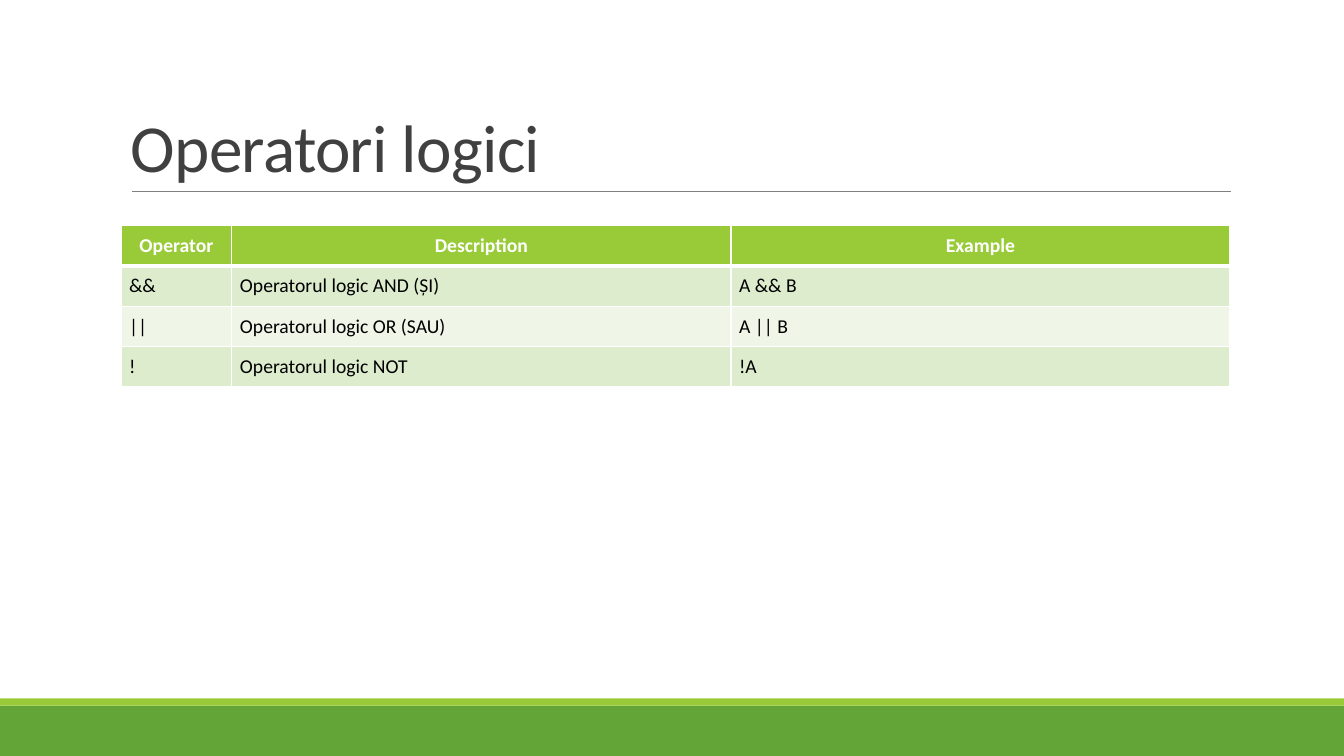
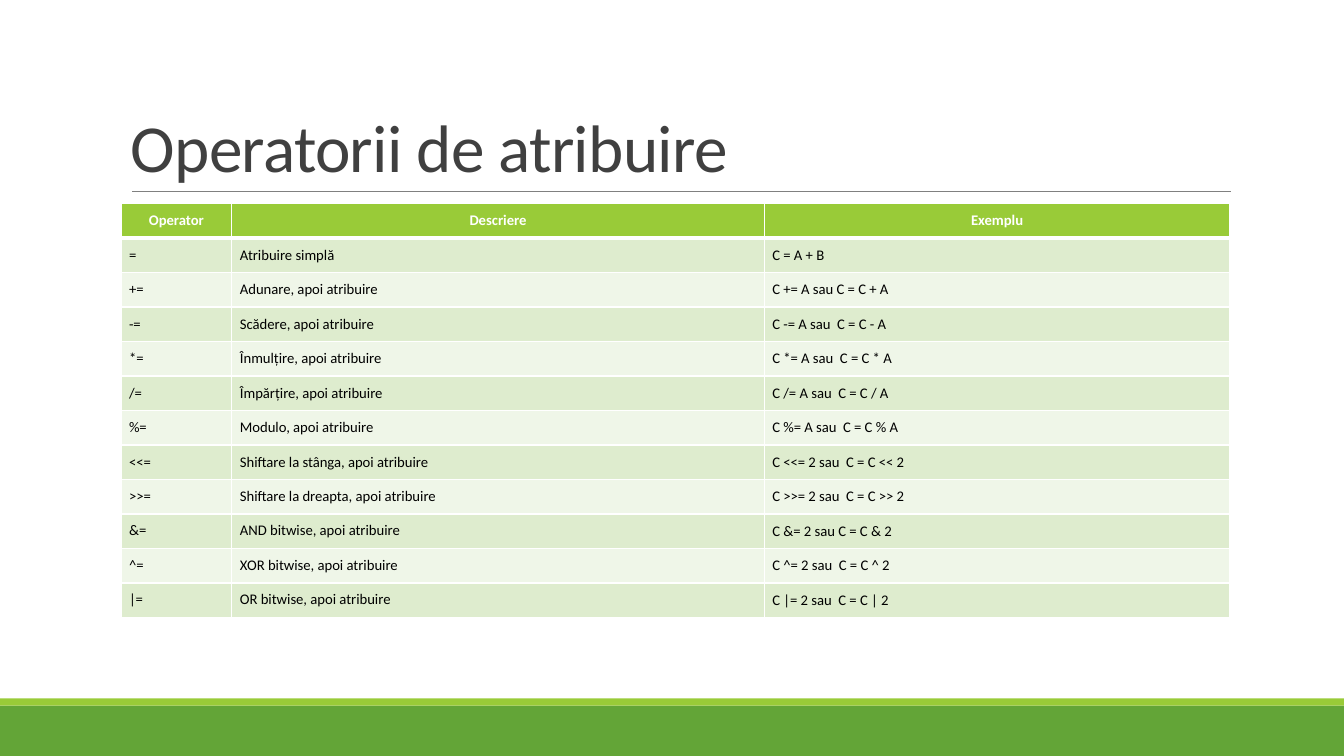
"""Build two slides with tables of logical and assignment operators."""
from dataclasses import dataclass

from lxml.etree import SubElement
from pptx import Presentation
from pptx.dml.color import RGBColor
from pptx.enum.shapes import MSO_CONNECTOR as Connector, MSO_SHAPE as Shape
from pptx.enum.text import MSO_ANCHOR as Anchor, PP_ALIGN as Align
from pptx.oxml.ns import qn
from pptx.slide import Slide
from pptx.table import _Cell as Cell
from pptx.text.text import _Paragraph as Paragraph
from pptx.util import Emu, Pt

EMU_PER_PX = 9144
PAGE_WIDTH, PAGE_HEIGHT = 1333, 750
TABLE_LEFT, TABLE_WIDTH = 120, 1100
RULE_LEFT, RULE_RIGHT, RULE_TOP = 131, 1221, 190
CELL_INSET = 8
FONT = "Calibri"
COLORS = {
    "footer": "63A537",
    "accent": "99CB38",
    "rule": "808080",
    "title": "404040",
    "white": "FFFFFF",
    "text": "000000",
    "odd_row": "DEECCE",
    "even_row": "EFF6E8",
}


@dataclass(frozen=True)
class Band:
    top: int
    height: int
    color: str


@dataclass(frozen=True)
class OperatorPage:
    title: str
    top: int
    height: int
    columns: tuple[int, ...]
    size: float
    example_anchor: Anchor
    rows: tuple[tuple[str, str, str], ...]


BANDS = (Band(700, 50, "footer"), Band(693, 7, "accent"))

PAGES = (
    OperatorPage("Operatori logici", 224, 160, (110, 495, 495), 14, Anchor.TOP, (
        ("Operator", "Description", "Example"),
        ("&&", "Operatorul logic AND (ȘI)", "A && B"),
        ("||", "Operatorul logic OR (SAU)", "A || B"),
        ("!", "Operatorul logic NOT", "!A"),
    )),
    OperatorPage("Operatorii de atribuire", 202, 411, (110, 528, 462), 10.5, Anchor.MIDDLE, (
        ("Operator", "Descriere", "Exemplu"),
        ("=", "Atribuire simplă", "C = A + B"),
        ("+=", "Adunare, apoi atribuire", "C += A sau C = C + A"),
        ("-=", "Scădere, apoi atribuire", "C -= A sau  C = C - A"),
        ("*=", "Înmulțire, apoi atribuire", "C *= A sau  C = C * A"),
        ("/=", "Împărțire, apoi atribuire", "C /= A sau  C = C / A"),
        ("%=", "Modulo, apoi atribuire", "C %= A sau  C = C % A"),
        ("<<=", "Shiftare la stânga, apoi atribuire", "C <<= 2 sau  C = C << 2"),
        (">>=", "Shiftare la dreapta, apoi atribuire", "C >>= 2 sau  C = C >> 2"),
        ("&=", "AND bitwise, apoi atribuire", "C &= 2 sau C = C & 2"),
        ("^=", "XOR bitwise, apoi atribuire", "C ^= 2 sau  C = C ^ 2"),
        ("|=", "OR bitwise, apoi atribuire", "C |= 2 sau  C = C | 2"),
    )),
)


def px(length: float) -> Emu:
    return Emu(round(length * EMU_PER_PX))


def color(name: str) -> RGBColor:
    return RGBColor.from_string(COLORS[name])


def set_font(para: Paragraph, size: float, color_name: str, bold: bool = False) -> None:
    para.font.name = FONT
    para.font.size = Pt(size)
    para.font.bold = bold
    para.font.color.rgb = color(color_name)


def draw_frame(page: Slide) -> None:
    for band in BANDS:
        box = page.shapes.add_shape(
            Shape.RECTANGLE, 0, px(band.top), px(PAGE_WIDTH), px(band.height))
        box.shadow.inherit = False
        box.fill.solid()
        box.fill.fore_color.rgb = color(band.color)
        box.line.fill.background()
    rule = page.shapes.add_connector(
        Connector.STRAIGHT, px(RULE_LEFT), px(RULE_TOP), px(RULE_RIGHT), px(RULE_TOP))
    rule.line.color.rgb = color("rule")
    rule.line.width = Pt(0.5)
    SubElement(rule._element.spPr, qn("a:effectLst"))


def draw_title(page: Slide, title: str) -> None:
    box = page.shapes.add_textbox(px(TABLE_LEFT), px(31), px(TABLE_WIDTH), px(159))
    frame = box.text_frame
    frame.word_wrap = True
    frame.vertical_anchor = Anchor.BOTTOM
    para = frame.paragraphs[0]
    para.text = title
    para.line_spacing = 0.85
    set_font(para, 48, "title")
    para._p.pPr.find(qn("a:defRPr")).set("spc", "-50")


def set_borders(cell: Cell, row: int) -> None:
    widths = {"L": 1, "R": 1, "T": 3 if row == 1 else 1, "B": 3 if row == 0 else 1}
    properties = cell._tc.get_or_add_tcPr()
    for side, width in widths.items():
        line = SubElement(properties, qn(f"a:ln{side}"), w=str(Pt(width)))
        fill = SubElement(line, qn("a:solidFill"))
        SubElement(fill, qn("a:srgbClr"), val=COLORS["white"])


def fill_cell(cell: Cell, text: str, row: int, size: float) -> None:
    header = row == 0
    cell.margin_left = cell.margin_right = px(CELL_INSET)
    cell.margin_top = cell.margin_bottom = px(CELL_INSET)
    set_borders(cell, row)
    cell.fill.solid()
    cell.fill.fore_color.rgb = color(
        "accent" if header else "odd_row" if row % 2 else "even_row")
    para = cell.text_frame.paragraphs[0]
    para.text = text
    para.alignment = Align.CENTER if header else Align.LEFT
    set_font(para, size, "white" if header else "text", header)


def draw_table(page: Slide, content: OperatorPage) -> None:
    count = len(content.rows)
    table = page.shapes.add_table(
        count, len(content.columns), px(TABLE_LEFT), px(content.top),
        px(TABLE_WIDTH), px(content.height)).table
    table.horz_banding = False
    for column, width in zip(table.columns, content.columns):
        column.width = px(width)
    for row, texts in enumerate(content.rows):
        table.rows[row].height = px(content.height / count)
        for column, text in enumerate(texts):
            fill_cell(table.cell(row, column), text, row, content.size)
        if row:
            table.cell(row, 2).vertical_anchor = content.example_anchor


def main() -> None:
    deck = Presentation()
    deck.slide_width, deck.slide_height = px(PAGE_WIDTH), px(PAGE_HEIGHT)
    for content in PAGES:
        page = deck.slides.add_slide(deck.slide_layouts[6])
        draw_frame(page)
        draw_title(page, content.title)
        draw_table(page, content)
    deck.save("out.pptx")


if __name__ == "__main__":
    main()
